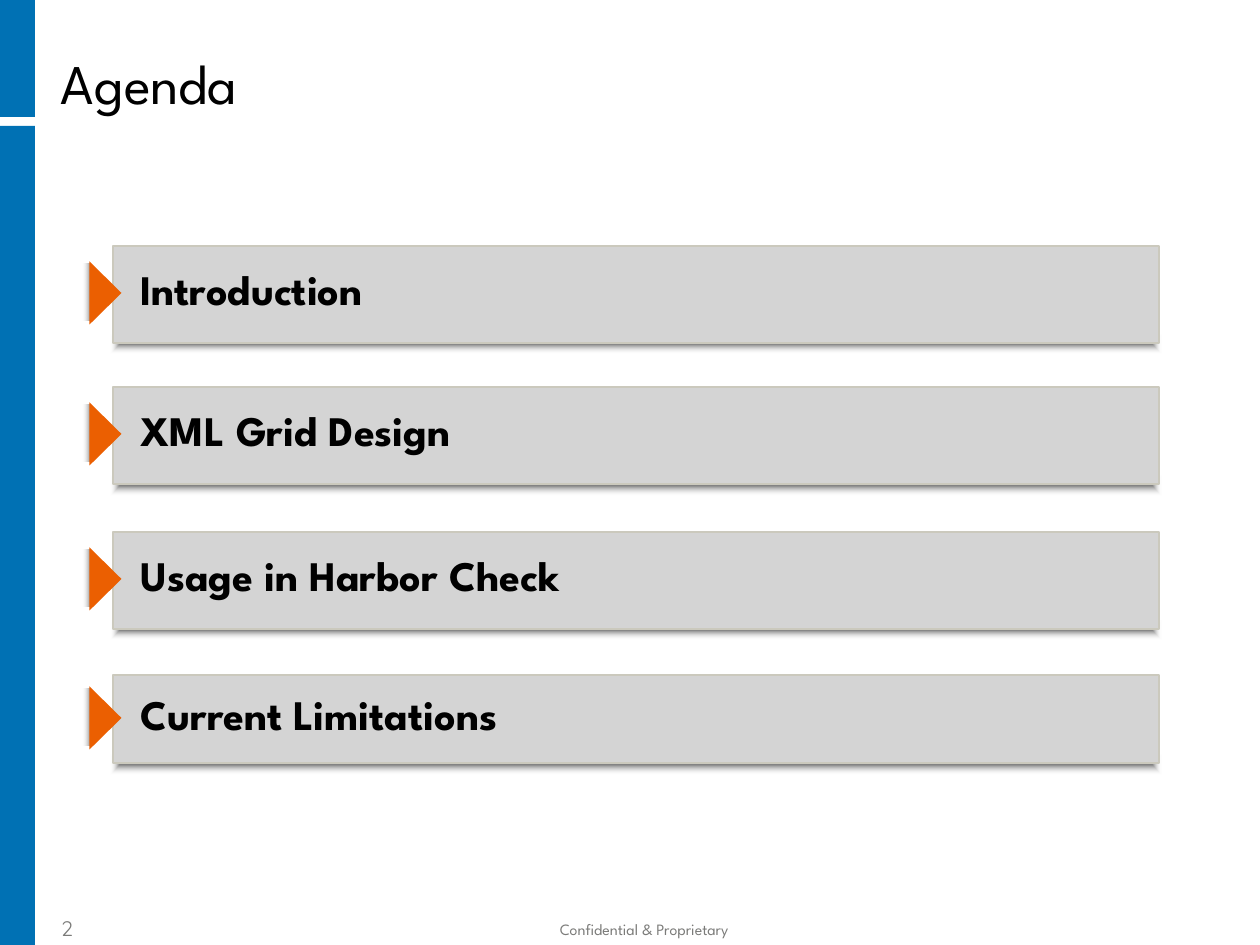
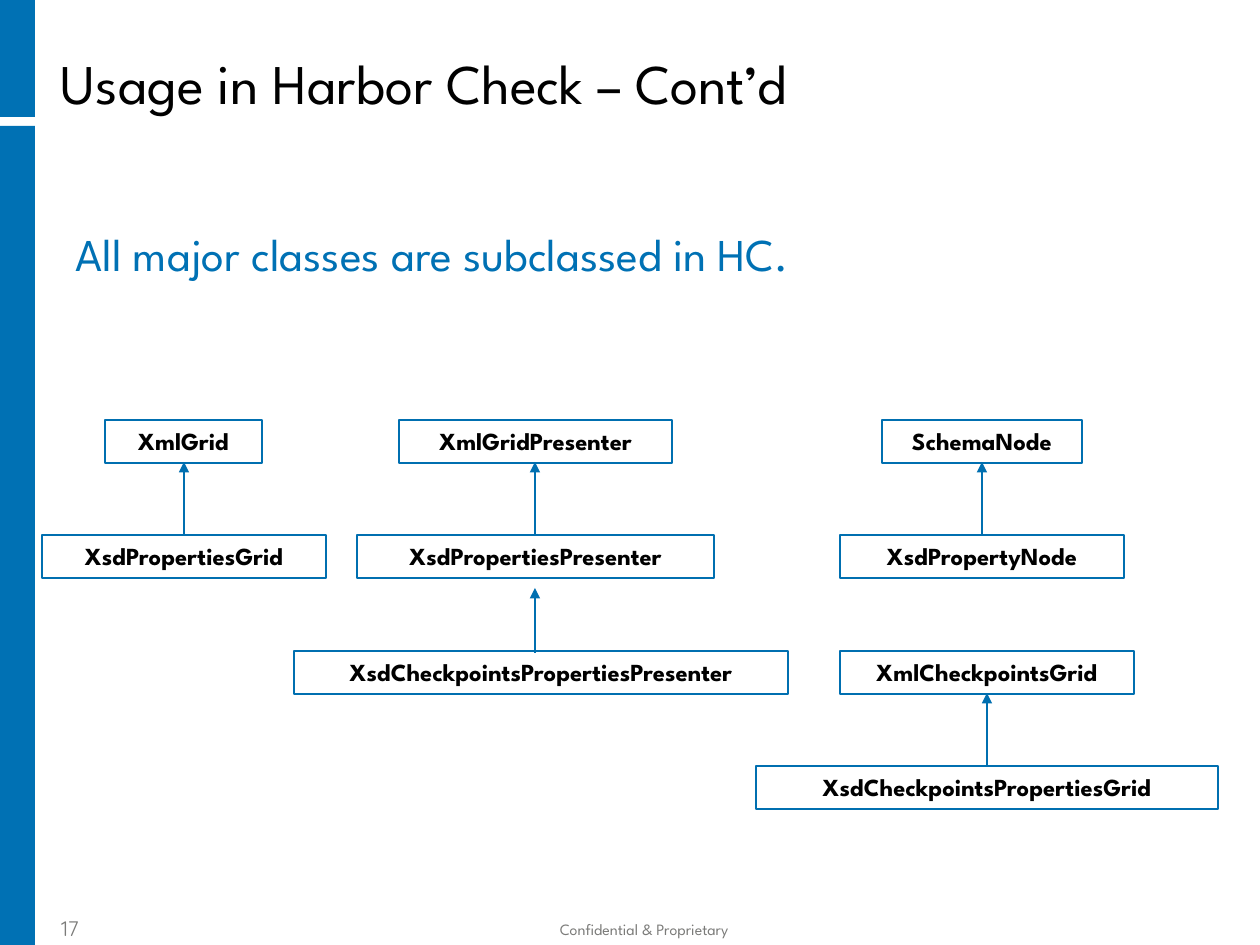
"""Build an agenda slide and a class diagram slide."""
from lxml.etree import SubElement
from pptx import Presentation
from pptx.dml.color import RGBColor
from pptx.enum.shapes import MSO_CONNECTOR as Link, MSO_SHAPE as Kind
from pptx.enum.text import MSO_ANCHOR as Anchor, PP_ALIGN as Align
from pptx.oxml import parse_xml
from pptx.oxml.ns import nsdecls, qn
from pptx.util import Pt

PX = 914400 / 126
BLUE, EDGE, ORANGE = "0071B4", "006FB0", "EB5F01"
GREY, RIM, MUTED, BLACK = "D4D4D4", "CBC9BD", "7B7B79", "000000"
FONT, DIGITS = "League Spartan", "Quicksand"
DARK, CLEAR = (BLACK, 50), ("FFFFFF", 0)
ROUND = '<a:path path="shape"><a:fillToRect l="50000" t="50000" r="50000" b="50000"/></a:path>'
ACROSS = '<a:lin ang="0" scaled="0"/>'
rgb = RGBColor.from_string


def box(slide, area, kind=Kind.RECTANGLE, fill=None, line=None, width=0.75, fade=None):
    area = [round(n * PX) for n in area]
    if kind is None:
        return slide.shapes.add_textbox(*area)
    shape = slide.shapes.add_shape(kind, *area)
    shape.shadow.inherit = False
    if fill:
        shape.fill.solid()
        shape.fill.fore_color.rgb = rgb(fill)
    else:
        shape.fill.background()
    if line:
        shape.line.color.rgb = rgb(line)
        shape.line.width = Pt(width)
    else:
        shape.line.fill.background()
    if fade:
        first, last, way = fade
        stops = "".join(
            f'<a:gs pos="{pos}"><a:srgbClr val="{tone}"><a:alpha val="{part * 1000}"/></a:srgbClr></a:gs>'
            for pos, (tone, part) in ((0, first), (100000, last)))
        props = shape._element.spPr
        props.replace(props.find(qn("a:noFill")), parse_xml(
            f'<a:gradFill {nsdecls("a")} rotWithShape="1"><a:gsLst>{stops}</a:gsLst>{way}</a:gradFill>'))
    return shape


def write(shape, words, size, color=BLACK, font=FONT, bold=False, align=Align.LEFT,
          anchor=Anchor.TOP, inset=None, lead=None, before=0, after=0, indent=0):
    frame = shape.text_frame
    frame.word_wrap = True
    frame.vertical_anchor = anchor
    if inset:
        (frame.margin_left, frame.margin_top,
         frame.margin_right, frame.margin_bottom) = [round(n * PX) for n in inset]
    para = frame.paragraphs[0]
    para.alignment = align
    para.line_spacing = lead
    para.space_before, para.space_after = Pt(before), Pt(after)
    if indent:
        para._p.get_or_add_pPr().set("indent", str(round(indent * PX)))
    run = para.add_run()
    run.text = words
    run.font.size, run.font.name, run.font.bold = Pt(size), font, bold
    run.font.color.rgb = rgb(color)


deck = Presentation()
deck.slide_width, deck.slide_height = round(1260 * PX), round(945 * PX)

pages = []
for title, number in (("Agenda", "2"), ("Usage in Harbor Check – Cont’d", "17")):
    page = deck.slides.add_slide(deck.slide_layouts[6])
    box(page, (0, 126, 35, 819), fill=BLUE)
    box(page, (0, 0, 35, 117), fill=BLUE)
    write(box(page, (55, 47, 1183, 127), None), title, 32, inset=(6, 6, 0, 0), lead=0.95)
    write(box(page, (275, 915, 738, 30), None), "Confidential & Proprietary", 9, MUTED,
          align=Align.CENTER, anchor=Anchor.BOTTOM)
    write(box(page, (55, 915, 105, 30), None), number, 12, MUTED, DIGITS,
          anchor=Anchor.BOTTOM, inset=(6, 6, 6, 4))
    pages.append(page)
agenda, usage = pages

for topic, top, high in (
    ("Introduction", 246, 97),
    ("XML Grid Design", 387, 97),
    ("Usage in Harbor Check", 532, 97),
    ("Current Limitations", 675, 88),
):
    mid = top + high // 2 - 2
    box(agenda, (111, top + high - 8, 1050, 19), fade=(DARK, CLEAR, ROUND))
    box(agenda, (113, top, 1046, high), fill=GREY, line=RIM, width=1.5)
    write(box(agenda, (112, mid - 29, 1040, 58), None), topic, 24, bold=True,
          anchor=Anchor.MIDDLE, lead=0.9, before=8.4, after=3.6, indent=16)
    box(agenda, (83, mid - 28, 8, 57), fade=(CLEAR, DARK, ACROSS))
    mark = box(agenda, (74, mid - 15, 63, 32), Kind.ISOSCELES_TRIANGLE, ORANGE)
    mark.rotation = 90

write(box(usage, (63, 220, 1134, 624), None), "All major classes are subclassed in HC.", 26, BLUE)

rows = [420, 535, 651, 766]
for name, left, row, wide in (
    ("XmlGrid", 105, 0, 157),
    ("XsdPropertiesGrid", 42, 1, 284),
    ("XmlGridPresenter", 399, 0, 273),
    ("XsdPropertiesPresenter", 357, 1, 357),
    ("XsdCheckpointsPropertiesPresenter", 294, 2, 494),
    ("SchemaNode", 882, 0, 200),
    ("XsdPropertyNode", 840, 1, 284),
    ("XmlCheckpointsGrid", 840, 2, 294),
    ("XsdCheckpointsPropertiesGrid", 756, 3, 462),
):
    write(box(usage, (left, rows[row], wide, 43), line=EDGE), name, 14,
          bold=True, align=Align.CENTER)

for x, start, end in ((184, 535, 462), (535, 535, 462), (535, 653, 588),
                      (982, 535, 462), (987, 766, 693)):
    ends = [round(n * PX) for n in (x, start, x, end)]
    arrow = usage.shapes.add_connector(Link.STRAIGHT, *ends)
    arrow.line.color.rgb = rgb(EDGE)
    arrow.line.width = Pt(1.25)
    SubElement(arrow.line._get_or_add_ln(), qn("a:tailEnd"), type="triangle")
    SubElement(arrow._element.spPr, qn("a:effectLst"))

deck.save("out.pptx")
